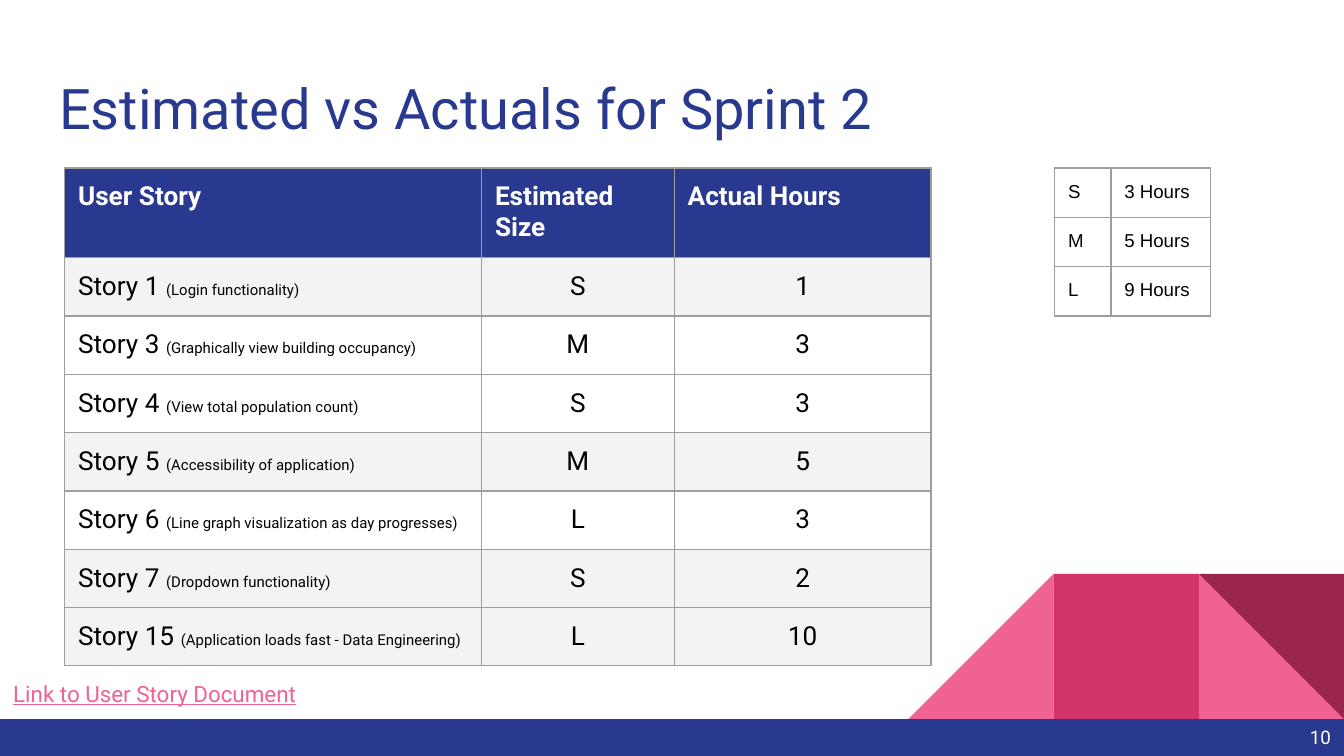
from dataclasses import dataclass

from lxml import etree
from pptx import Presentation
from pptx.dml.color import RGBColor
from pptx.enum.shapes import MSO_SHAPE
from pptx.enum.text import MSO_ANCHOR, MSO_AUTO_SIZE, PP_ALIGN
from pptx.oxml.ns import qn
from pptx.util import Pt

RECT, TRIANGLE = MSO_SHAPE.RECTANGLE, MSO_SHAPE.RIGHT_TRIANGLE
TOP, MIDDLE = MSO_ANCHOR.TOP, MSO_ANCHOR.MIDDLE
LEFT, CENTER, RIGHT = PP_ALIGN.LEFT, PP_ALIGN.CENTER, PP_ALIGN.RIGHT
NO_AUTOFIT = MSO_AUTO_SIZE.NONE


@dataclass(frozen=True)
class Theme:
    font: str = "Roboto"
    key_font: str = "Arial"
    navy: str = "2A3990"
    pink: str = "F06292"
    rose: str = "D23369"
    wine: str = "9C254D"
    shade: str = "F3F3F3"
    border: str = "9E9E9E"
    black: str = "000000"
    white: str = "FFFFFF"
    title_size: float = 30
    table_size: float = 14
    link_size: float = 12
    small_size: float = 10
    detail_size: float = 8
    inset: float = 7.2


THEME = Theme()
WIDTH, HEIGHT = 720, 405
BAR_TOP = 385.2
TILE = 77.8
TABLE_TOP = 90

HEADERS = ("User Story", "Estimated Size", "Actual Hours")
# story, detail, size, hours, shaded
STORIES = (
    ("Story 1", "Login functionality", "S", "1", True),
    ("Story 3", "Graphically view building occupancy", "M", "3", False),
    ("Story 4", "View total population count", "S", "3", False),
    ("Story 5", "Accessibility of application", "M", "5", True),
    ("Story 6", "Line graph visualization as day progresses", "L", "3", False),
    ("Story 7", "Dropdown functionality", "S", "2", True),
    ("Story 15", "Application loads fast - Data Engineering", "L", "10", True),
)
SIZE_KEY = (("S", "3 Hours"), ("M", "5 Hours"), ("L", "9 Hours"))


def style_font(font, size, color, name=THEME.font, bold=False):
    font.name, font.size, font.bold = name, Pt(size), bold
    font.color.rgb = RGBColor.from_string(color)


def set_insets(target):
    """Give a text frame or a table cell the common inner margin."""
    inset = Pt(THEME.inset)
    target.margin_left = target.margin_right = inset
    target.margin_top = target.margin_bottom = inset


def add_block(slide, kind, left, top, width, height, color):
    sp = slide.shapes.add_shape(kind, Pt(left), Pt(top), Pt(width), Pt(height))
    sp.shadow.inherit = False
    sp.fill.solid()
    sp.fill.fore_color.rgb = RGBColor.from_string(color)
    sp.line.fill.background()
    return sp


def add_decoration(slide):
    top = BAR_TOP - TILE
    lefts = [WIDTH - TILE * n for n in (3, 2, 1)]
    add_block(slide, TRIANGLE, lefts[2], top, TILE, TILE, THEME.pink)
    slope = add_block(slide, TRIANGLE, lefts[0], top, TILE, TILE, THEME.pink)
    slope.element.spPr.get_or_add_xfrm().set("flipH", "1")
    add_block(slide, RECT, lefts[1], top, TILE, TILE, THEME.rose)
    corner = add_block(slide, TRIANGLE, lefts[2], top, TILE, TILE, THEME.wine)
    corner.rotation = 180
    add_block(slide, RECT, 0, BAR_TOP, WIDTH, HEIGHT - BAR_TOP, THEME.navy)


def fill_title(slide, text):
    title = slide.shapes.title
    title.left, title.top = Pt(24.5), Pt(32.4)
    title.width, title.height = Pt(671), Pt(47.5)
    tf = title.text_frame
    tf.text = text
    tf.auto_size, tf.vertical_anchor = NO_AUTOFIT, TOP
    set_insets(tf)
    p = tf.paragraphs[0]
    p.alignment = LEFT
    style_font(p.font, THEME.title_size, THEME.navy)


def add_text(slide, text, left, top, width, height, size, color,
             align=LEFT, anchor=TOP):
    sp = slide.shapes.add_textbox(Pt(left), Pt(top), Pt(width), Pt(height))
    tf = sp.text_frame
    tf.word_wrap, tf.vertical_anchor = True, anchor
    set_insets(tf)
    p = tf.paragraphs[0]
    p.text, p.alignment = text, align
    style_font(p.font, size, color)
    return p


def set_borders(cell):
    tc_pr = cell._tc.get_or_add_tcPr()
    for index, side in enumerate(("a:lnL", "a:lnR", "a:lnT", "a:lnB")):
        ln = etree.Element(qn(side), w=str(Pt(0.75)))
        fill = etree.SubElement(ln, qn("a:solidFill"))
        etree.SubElement(fill, qn("a:srgbClr"), val=THEME.border)
        tc_pr.insert(index, ln)


def add_table(slide, left, col_widths, row_heights):
    rows, cols = len(row_heights), len(col_widths)
    frame = slide.shapes.add_table(rows, cols, Pt(left), Pt(TABLE_TOP),
                                   Pt(sum(col_widths)), Pt(sum(row_heights)))
    table = frame.table
    table.first_row = table.horz_banding = False
    for column, width in zip(table.columns, col_widths):
        column.width = Pt(width)
    for row, height in zip(table.rows, row_heights):
        row.height = Pt(height)
    return table


def fill_cell(cell, text, size=THEME.table_size, color=THEME.black,
              name=THEME.font, bold=False, align=LEFT, fill=None):
    set_insets(cell)
    if fill:
        cell.fill.solid()
        cell.fill.fore_color.rgb = RGBColor.from_string(fill)
    else:
        cell.fill.background()
    set_borders(cell)
    p = cell.text_frame.paragraphs[0]
    p.text, p.alignment = text, align
    style_font(p.font, size, color, name, bold)
    return p


def add_story_table(slide):
    table = add_table(slide, 34.6, (223.4, 103.2, 137.6),
                      [26.6] + [27.4] * len(STORIES))
    for col, header in enumerate(HEADERS):
        fill_cell(table.cell(0, col), header, color=THEME.white, bold=True,
                  fill=THEME.navy)
    for row, (story, detail, size, hours, shaded) in enumerate(STORIES, 1):
        fill = THEME.shade if shaded else None
        p = fill_cell(table.cell(row, 0), f"{story} ", fill=fill)
        r = p.add_run()
        r.text = f"({detail})"
        r.font.size = Pt(THEME.detail_size)
        for col, value in enumerate((size, hours), 1):
            fill_cell(table.cell(row, col), value, align=CENTER, fill=fill)


def add_size_key(slide):
    table = add_table(slide, 565, (30.2, 53.3), [21.6] * len(SIZE_KEY))
    for row, values in enumerate(SIZE_KEY):
        for col, value in enumerate(values):
            fill_cell(table.cell(row, col), value, THEME.small_size,
                      name=THEME.key_font)


def main():
    prs = Presentation()
    prs.slide_width, prs.slide_height = Pt(WIDTH), Pt(HEIGHT)
    slide = prs.slides.add_slide(prs.slide_layouts[5])
    add_decoration(slide)
    fill_title(slide, "Estimated vs Actuals for Sprint 2")
    add_text(slide, "10", 676.8, BAR_TOP, 43.2, HEIGHT - BAR_TOP,
             THEME.small_size, THEME.white, RIGHT, MIDDLE)
    add_story_table(slide)
    link = add_text(slide, "Link to User Story Document", 0, 357, 169.2, 23,
                    THEME.link_size, THEME.pink)
    link.font.underline = True
    link.space_after = Pt(16)
    add_size_key(slide)
    prs.save("out.pptx")


if __name__ == "__main__":
    main()
